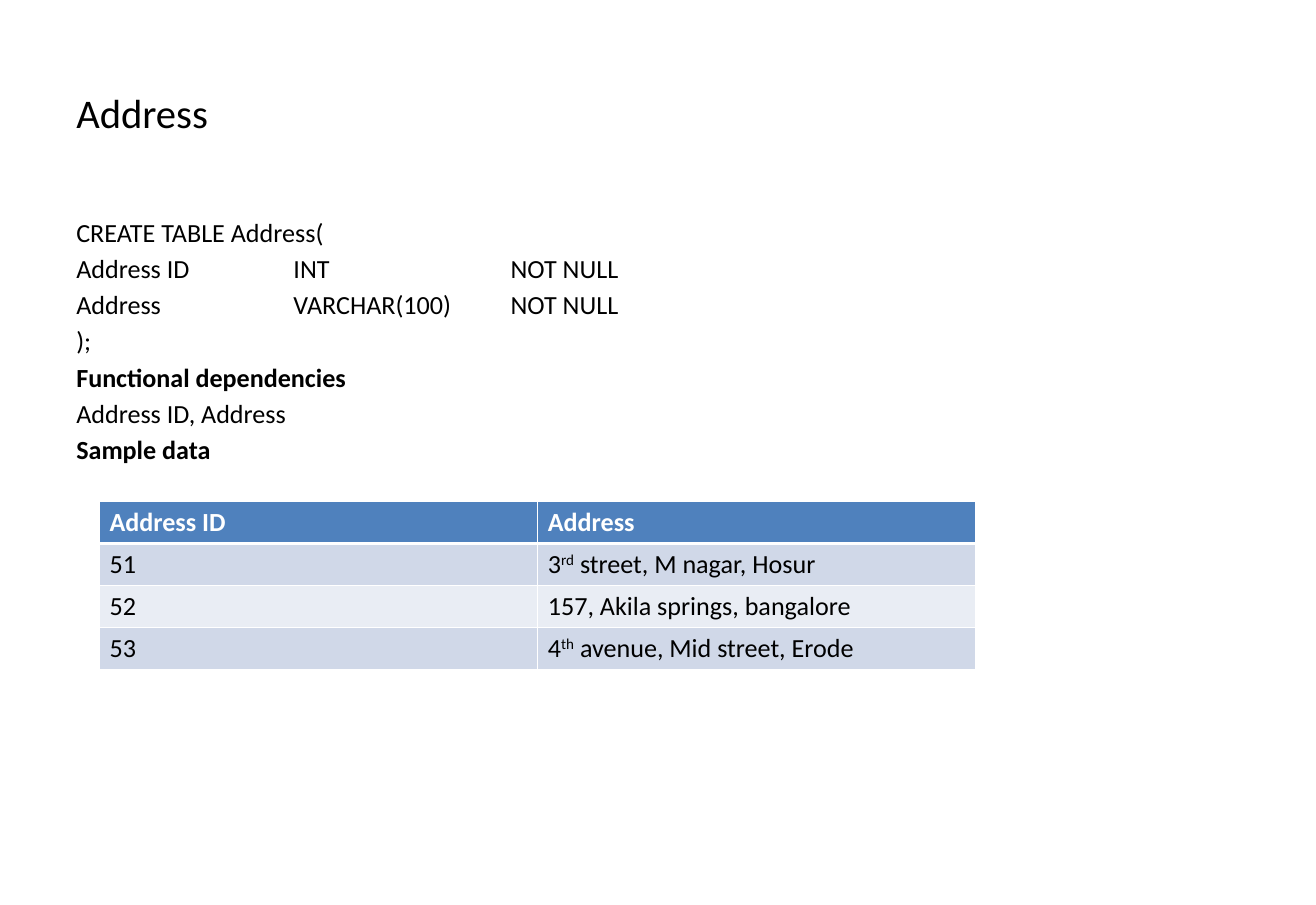
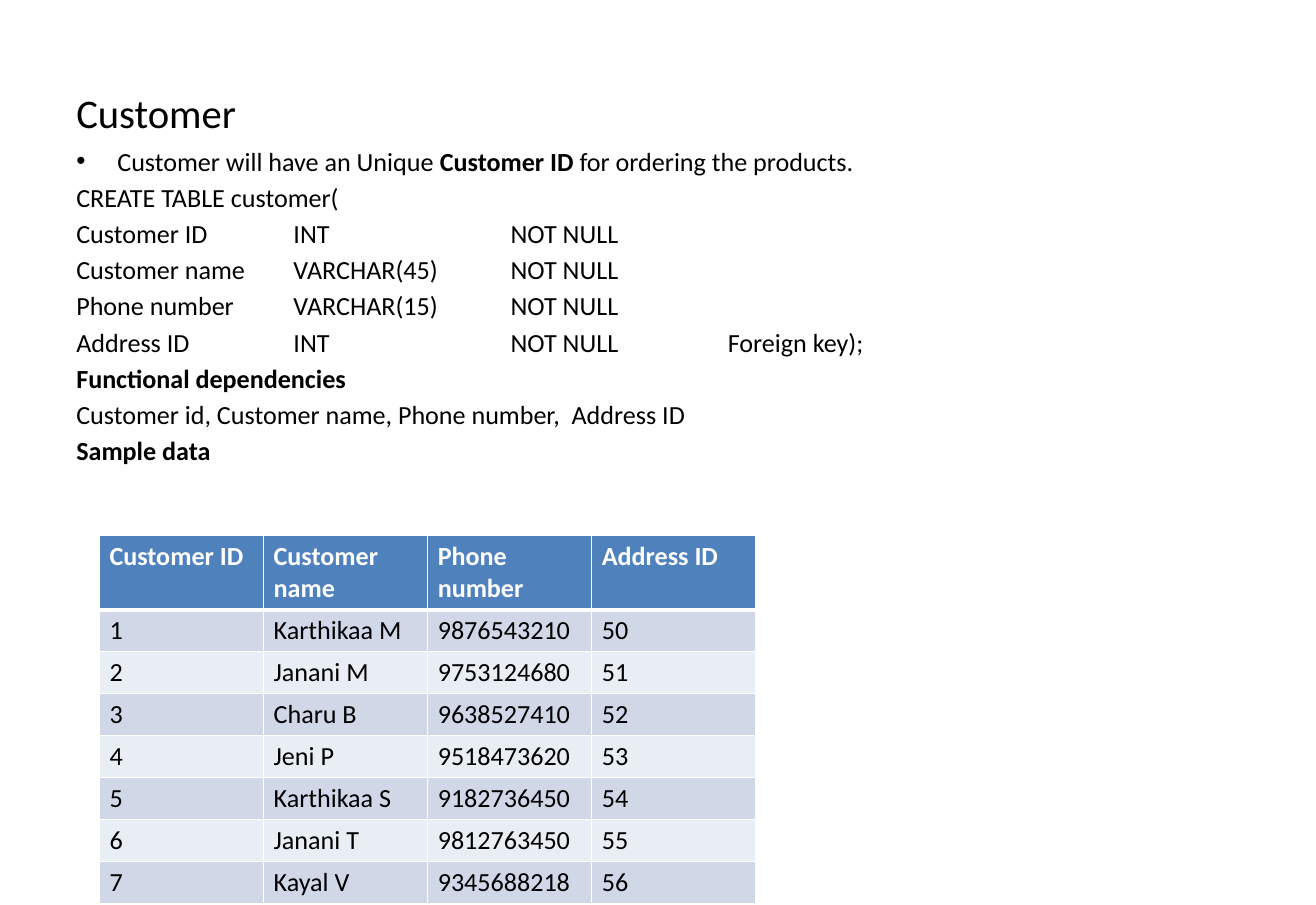
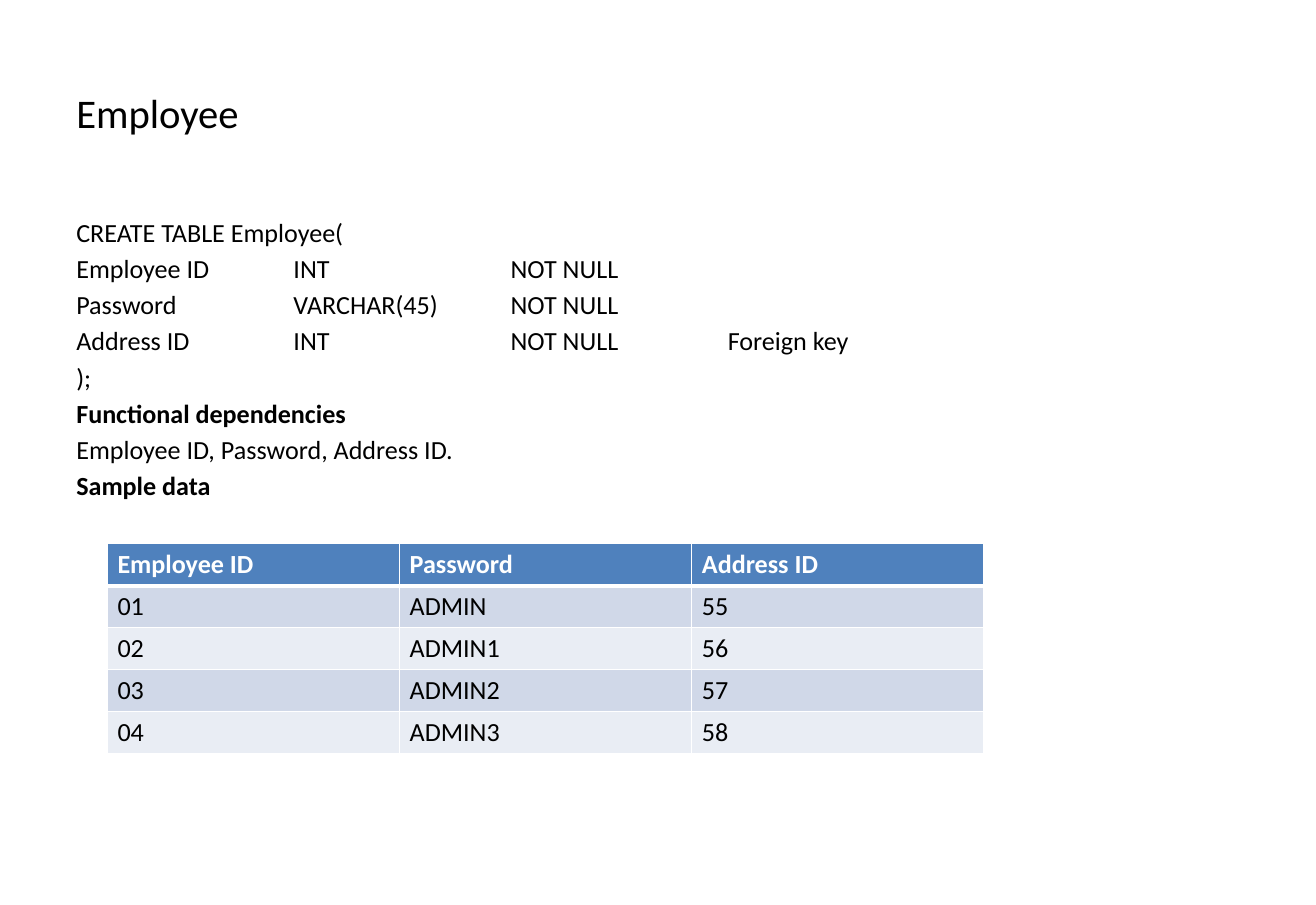
"""Build three slides that describe database tables with their schema and sample data."""
import dataclasses
import typing

import lxml.etree
import pptx
import pptx.dml.color
import pptx.enum.text
import pptx.oxml.ns
import pptx.presentation
import pptx.slide
import pptx.table
import pptx.text.text
import pptx.util

EMU_PER_PIXEL = 914400 / 104.4


@dataclasses.dataclass(frozen=True)
class Theme:
    font: str = "Calibri"
    title_size: float = 28
    text_size: float = 18
    space_before: float = 3.3
    text_color: str = "000000"
    header_color: str = "FFFFFF"
    header_fill: str = "4F81BD"
    band_fills: tuple[str, str] = ("D0D8E8", "E9EDF4")
    border_color: str = "FFFFFF"
    border_width: float = 1
    header_rule_width: float = 3


@dataclasses.dataclass(frozen=True)
class Area:
    left: int
    top: int
    width: int
    height: int


@dataclasses.dataclass(frozen=True)
class Span:
    text: str
    bold: bool = False
    raised: bool = False


@dataclasses.dataclass(frozen=True)
class Line:
    spans: tuple[Span, ...]
    bullet: bool = False


@dataclasses.dataclass(frozen=True)
class Sample:
    left: int
    top: int
    column_width: int
    rows: tuple[tuple[str | tuple[Span, ...], ...], ...]
    header_height: int = 42


@dataclasses.dataclass(frozen=True)
class Entity:
    name: str
    body: Area
    schema: tuple[str, ...]
    dependencies: str
    sample: Sample
    intro: tuple[Span, ...] = ()


THEME = Theme()
SLIDE_WIDTH, SLIDE_HEIGHT = 1315, 904
TITLE_AREA = Area(66, 37, 1184, 150)
BODY_AREA = Area(66, 211, 1184, 597)
BODY_WITH_INTRO_AREA = Area(66, 140, 1184, 764)
TAB_WIDTH, TAB_COUNT = 217, 3
BULLET_INDENT = 41
ROW_HEIGHT = 42

ENTITIES = (
    Entity(
        "Address",
        BODY_AREA,
        (
            "CREATE TABLE Address(",
            "Address ID\tINT\tNOT NULL",
            "Address\tVARCHAR(100)\tNOT NULL",
            ");",
        ),
        "Address ID, Address",
        Sample(99, 501, 438, (
            ("Address ID", "Address"),
            ("51", (Span("3"), Span("rd", raised=True), Span(" street, M nagar, Hosur"))),
            ("52", "157, Akila springs, bangalore"),
            ("53", (Span("4"), Span("th", raised=True), Span(" avenue, Mid street, Erode"))),
        )),
    ),
    Entity(
        "Customer",
        BODY_WITH_INTRO_AREA,
        (
            "CREATE TABLE customer(",
            "Customer ID\tINT\tNOT NULL",
            "Customer name\tVARCHAR(45)\tNOT NULL",
            "Phone number\tVARCHAR(15)\tNOT NULL",
            "Address ID\tINT\tNOT NULL\tForeign key);",
        ),
        "Customer id, Customer name, Phone number,  Address ID",
        Sample(99, 535, 164, (
            ("Customer ID", "Customer name", "Phone number", "Address ID"),
            ("1", "Karthikaa M", "9876543210", "50"),
            ("2", "Janani M", "9753124680", "51"),
            ("3", "Charu B", "9638527410", "52"),
            ("4", "Jeni P", "9518473620", "53"),
            ("5", "Karthikaa S", "9182736450", "54"),
            ("6", "Janani T", "9812763450", "55"),
            ("7", "Kayal V", "9345688218", "56"),
        ), header_height=74),
        (
            Span("Customer will have an Unique "),
            Span("Customer ID ", bold=True),
            Span("for ordering the products."),
        ),
    ),
    Entity(
        "Employee",
        BODY_AREA,
        (
            "CREATE TABLE Employee(",
            "Employee ID\tINT\tNOT NULL",
            "Password\tVARCHAR(45)\tNOT NULL",
            "Address ID\tINT\tNOT NULL\tForeign key",
            ");",
        ),
        "Employee ID, Password, Address ID.",
        Sample(107, 543, 292, (
            ("Employee ID", "Password", "Address ID"),
            ("01", "ADMIN", "55"),
            ("02", "ADMIN1", "56"),
            ("03", "ADMIN2", "57"),
            ("04", "ADMIN3", "58"),
        )),
    ),
)


def emu(pixels: int) -> pptx.util.Emu:
    return pptx.util.Emu(round(pixels * EMU_PER_PIXEL))


def rgb(color: str) -> pptx.dml.color.RGBColor:
    return pptx.dml.color.RGBColor.from_string(color)


def add_element(parent: typing.Any, tag: str, **attributes: str) -> typing.Any:
    return lxml.etree.SubElement(parent, pptx.oxml.ns.qn(tag), attributes)


def write_text(
    para: typing.Any,
    text: str,
    *,
    size: float = THEME.text_size,
    color: str = THEME.text_color,
    bold: bool = False,
    raised: bool = False,
) -> None:
    span = para.add_run()
    span.text = text
    span.font.name = THEME.font
    span.font.size = pptx.util.Pt(size)
    span.font.color.rgb = rgb(color)
    span.font.bold = bold
    if raised:
        span._r.get_or_add_rPr().set("baseline", "30000")


def add_box(page: pptx.slide.Slide, area: Area) -> pptx.text.text.TextFrame:
    box = page.shapes.add_textbox(
        emu(area.left), emu(area.top), emu(area.width), emu(area.height)
    )
    box.text_frame.word_wrap = True
    return box.text_frame


def add_title(page: pptx.slide.Slide, title: str) -> None:
    frame = add_box(page, TITLE_AREA)
    frame.vertical_anchor = pptx.enum.text.MSO_ANCHOR.MIDDLE
    write_text(frame.paragraphs[0], title, size=THEME.title_size)


def format_line(para: typing.Any, bullet: bool) -> None:
    para.space_before = pptx.util.Pt(THEME.space_before)
    properties = para._p.get_or_add_pPr()
    if bullet:
        properties.set("marL", str(emu(BULLET_INDENT)))
        properties.set("indent", str(-emu(BULLET_INDENT)))
        add_element(properties, "a:buFont", typeface="Arial")
        add_element(properties, "a:buChar", char="•")
    else:
        tabs = add_element(properties, "a:tabLst")
        for stop in range(1, TAB_COUNT + 1):
            add_element(tabs, "a:tab", pos=str(emu(stop * TAB_WIDTH)), algn="l")


def body_lines(entity: Entity) -> list[Line]:
    lines = [Line(entity.intro, bullet=True)] if entity.intro else []
    lines += [Line((Span(text),)) for text in entity.schema]
    return lines + [
        Line((Span("Functional dependencies", bold=True),)),
        Line((Span(entity.dependencies),)),
        Line((Span("Sample data", bold=True),)),
    ]


def add_body(page: pptx.slide.Slide, entity: Entity) -> None:
    frame = add_box(page, entity.body)
    for index, line in enumerate(body_lines(entity)):
        para = frame.add_paragraph() if index else frame.paragraphs[0]
        format_line(para, line.bullet)
        for span in line.spans:
            write_text(para, span.text, bold=span.bold)


def add_borders(cell: typing.Any, top: float, bottom: float) -> None:
    side = THEME.border_width
    properties = cell._tc.get_or_add_tcPr()
    for edge, width in (("L", side), ("R", side), ("T", top), ("B", bottom)):
        line = add_element(properties, f"a:ln{edge}", w=str(pptx.util.Pt(width)))
        fill = add_element(line, "a:solidFill")
        add_element(fill, "a:srgbClr", val=THEME.border_color)


def fill_cell(cell: typing.Any, content: str | tuple[Span, ...], row: int) -> None:
    header = row == 0
    add_borders(
        cell,
        THEME.header_rule_width if row == 1 else THEME.border_width,
        THEME.header_rule_width if header else THEME.border_width,
    )
    cell.fill.solid()
    cell.fill.fore_color.rgb = rgb(
        THEME.header_fill if header else THEME.band_fills[(row - 1) % 2]
    )
    spans = (Span(content),) if isinstance(content, str) else content
    for span in spans:
        write_text(
            cell.text_frame.paragraphs[0],
            span.text,
            color=THEME.header_color if header else THEME.text_color,
            bold=header,
            raised=span.raised,
        )


def add_sample(page: pptx.slide.Slide, sample: Sample) -> None:
    row_count, column_count = len(sample.rows), len(sample.rows[0])
    table = page.shapes.add_table(
        row_count,
        column_count,
        emu(sample.left),
        emu(sample.top),
        emu(column_count * sample.column_width),
        emu(sample.header_height + (row_count - 1) * ROW_HEIGHT),
    ).table
    for column in table.columns:
        column.width = emu(sample.column_width)
    for row, contents in enumerate(sample.rows):
        table.rows[row].height = emu(ROW_HEIGHT if row else sample.header_height)
        for column, content in enumerate(contents):
            fill_cell(table.cell(row, column), content, row)


def build_deck() -> pptx.presentation.Presentation:
    deck = pptx.Presentation()
    deck.slide_width, deck.slide_height = emu(SLIDE_WIDTH), emu(SLIDE_HEIGHT)
    for entity in ENTITIES:
        page = deck.slides.add_slide(deck.slide_layouts[6])
        add_title(page, entity.name)
        add_body(page, entity)
        add_sample(page, entity.sample)
    return deck


build_deck().save("out.pptx")
